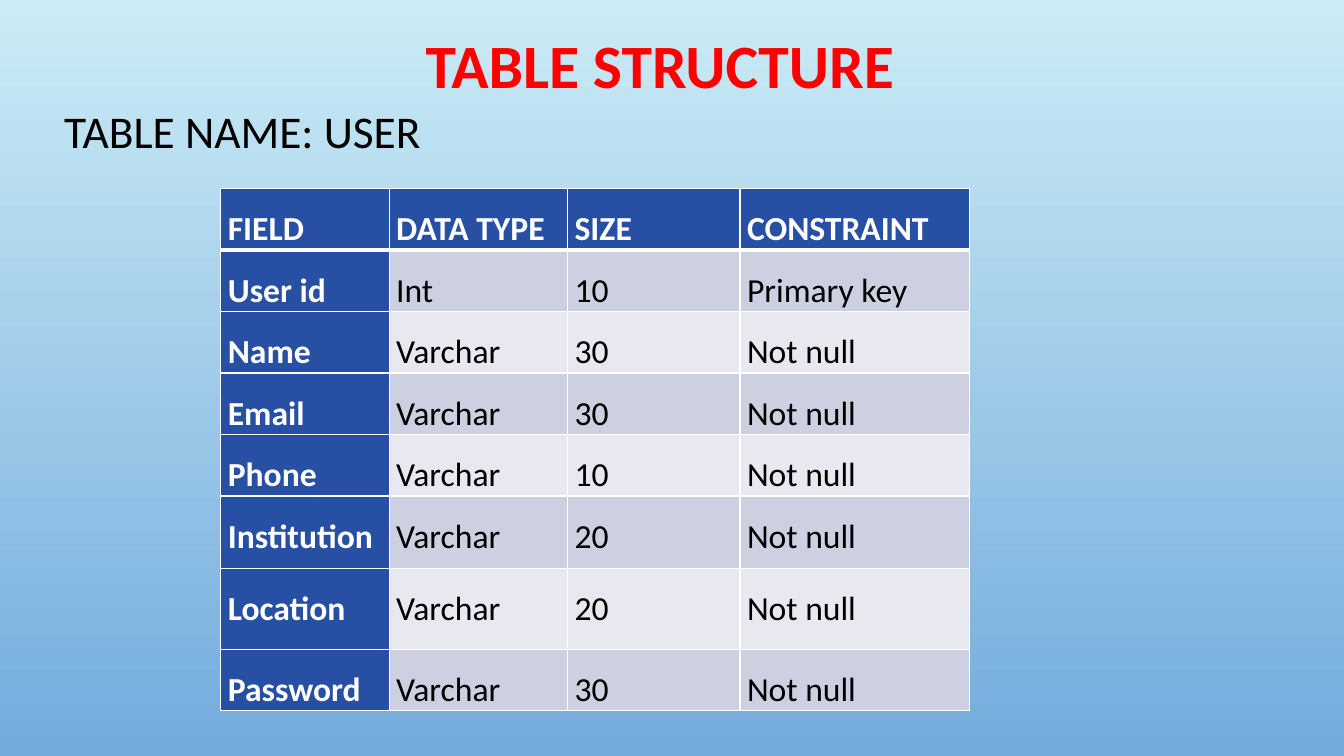
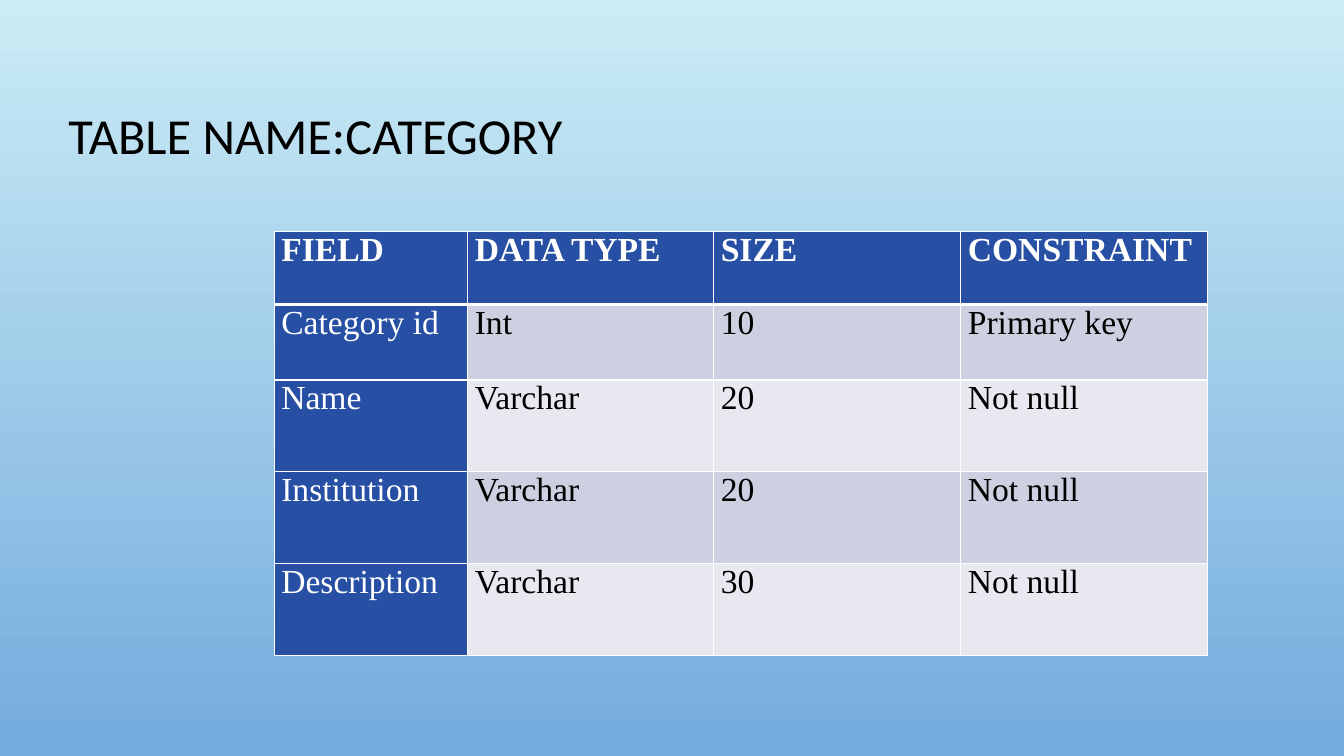
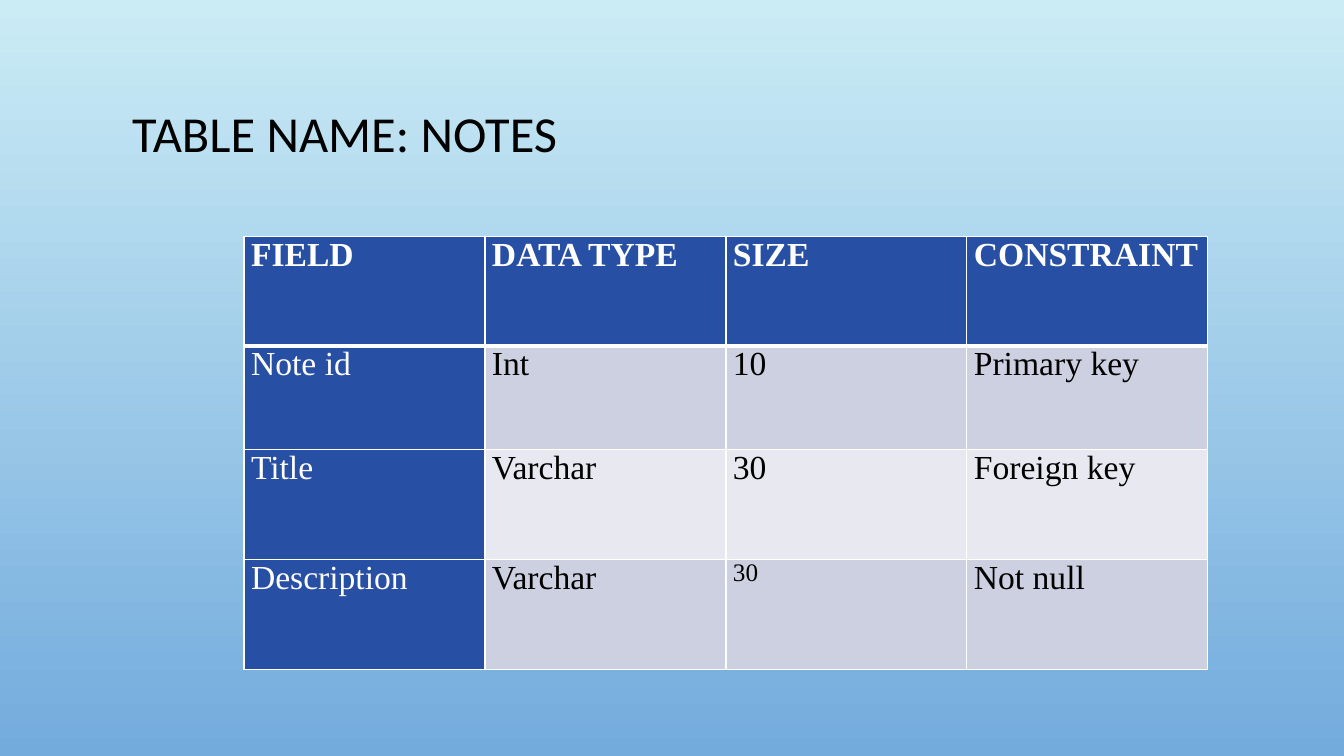
from pptx import Presentation
from pptx.dml.color import RGBColor
from pptx.enum.text import MSO_ANCHOR, MSO_AUTO_SIZE, PP_ALIGN
from pptx.oxml.ns import qn
from pptx.util import Inches, Pt
from lxml import etree

MIDDLE = MSO_ANCHOR.MIDDLE
CENTER, RIGHT = PP_ALIGN.CENTER, PP_ALIGN.RIGHT
NO_FIT = MSO_AUTO_SIZE.NONE

COLORS = {
    "sky": "CBECF5", "sea": "73ABDD", "navy": "274FA4", "dark_band": "CDD0E0",
    "light_band": "E8E9F0", "white": "FFFFFF", "black": "000000", "red": "FF0000",
}
SANS, SERIF = "Calibri", "Times New Roman"
TABLE_SIZE = 24

# Content
HEADINGS = ("FIELD", "DATA TYPE", "SIZE", "CONSTRAINT")
BANNER = {"text": "TABLE STRUCTURE", "at": (3.48, 0.18, 5.49, 0.9), "size": 44}
TABLES = [
    {
        "title": "TABLE NAME: USER", "title_at": (0.3, 1.03, 4.21, 0.6),
        "title_size": 32.4, "banner": BANNER,
        "fields": [
            ("User id", "Int", "10", "Primary key"),
            ("Name", "Varchar", "30", "Not null"),
            ("Email", "Varchar", "30", "Not null"),
            ("Phone", "Varchar", "10", "Not null"),
            ("Institution", "Varchar", "20", "Not null"),
            ("Location", "Varchar", "20", "Not null"),
            ("Password", "Varchar", "30", "Not null"),
        ],
        "corner": (2.19, 1.87), "columns": (1.67, 1.77, 1.71, 2.28),
        "rows": (0.58, 0.61, 0.58, 0.56, 0.58, 0.72, 0.8, 0.58),
        "font": SANS, "bold_fields": True, "line_spacing": 1.5, "space_after": 10,
    },
    {
        "title": "TABLE NAME:CATEGORY", "title_at": (0.33, 0.67, 5.6, 1.4),
        "title_size": 36,
        "fields": [
            ("Category id", "Int", "10", "Primary key"),
            ("Name", "Varchar", "20", "Not null"),
            ("Institution", "Varchar", "20", "Not null"),
            ("Description", "Varchar", "30", "Not null"),
        ],
        "corner": (2.72, 2.3), "columns": (1.92, 2.44, 2.45, 2.45),
        "rows": (0.72, 0.75, 0.91, 0.91, 0.91), "font": SERIF,
    },
    {
        "title": "TABLE NAME: NOTES", "title_at": (0.62, 0.65, 5.6, 1.4),
        "title_size": 36,
        "fields": [
            ("Note id", "Int", "10", "Primary key"),
            ("Title", "Varchar", "30", "Foreign key"),
            ("Description", "Varchar", "30", "Not null"),
        ],
        "corner": (2.42, 2.35), "columns": (2.39,) * 4,
        "rows": (1.08, 1.03, 1.09, 1.09), "font": SERIF,
        "cell_sizes": {(3, 2): 18},
    },
]


def rgb(name):
    return RGBColor.from_string(COLORS[name])


def add_span(para, text, font, size, color, bold=False):
    span = para.add_run()
    span.text = text
    span.font.name, span.font.size, span.font.bold = font, Pt(size), bold
    span.font.color.rgb = rgb(color)


def set_frame(box, align):
    frame = box.text_frame
    frame.word_wrap, frame.auto_size = True, NO_FIT
    frame.vertical_anchor = MIDDLE
    frame.paragraphs[0].alignment = align
    return frame.paragraphs[0]


def add_title(page, text, at, size):
    box = page.shapes.title
    box.left, box.top, box.width, box.height = map(Inches, at)
    para = set_frame(box, CENTER)
    para.line_spacing = 0.9
    add_span(para, text, SANS, size, "black")


def add_banner(page, text, at, size):
    box = page.shapes.add_textbox(*map(Inches, at))
    add_span(set_frame(box, RIGHT), text, SANS, size, "red", True)


def set_borders(cell, row):
    # A thick rule separates the headings from the fields
    widths = {"lnL": 1, "lnR": 1, "lnT": 3 if row == 1 else 1, "lnB": 3 if row == 0 else 1}
    for side, width in widths.items():
        line = etree.SubElement(cell._tc.get_or_add_tcPr(), qn("a:" + side), w=str(Pt(width)))
        fill = etree.SubElement(line, qn("a:solidFill"))
        etree.SubElement(fill, qn("a:srgbClr"), val=COLORS["white"])


def fill_cell(cell, text, row, column, design):
    is_label = row == 0 or column == 0
    cell.margin_left = cell.margin_right = Inches(0.07)
    cell.margin_top = cell.margin_bottom = 0
    set_borders(cell, row)
    cell.fill.solid()
    band = "dark_band" if row % 2 else "light_band"
    cell.fill.fore_color.rgb = rgb("navy" if is_label else band)
    para = cell.text_frame.paragraphs[0]
    para.line_spacing = design.get("line_spacing", 1.0)
    para.space_after = Pt(design.get("space_after", 0))
    size = design.get("cell_sizes", {}).get((row, column), TABLE_SIZE)
    bold = row == 0 or (column == 0 and design.get("bold_fields", False))
    add_span(para, text, design["font"], size, "white" if is_label else "black", bold)


def add_field_table(page, design):
    records = [HEADINGS, *design["fields"]]
    columns, rows = design["columns"], design["rows"]
    at = (*design["corner"], sum(columns), sum(rows))
    table = page.shapes.add_table(len(rows), len(columns), *map(Inches, at)).table
    table.first_col = True
    for column, width in zip(table.columns, columns):
        column.width = Inches(width)
    for row, height in zip(table.rows, rows):
        row.height = Inches(height)
    for r, record in enumerate(records):
        for c, text in enumerate(record):
            fill_cell(table.cell(r, c), text, r, c, design)


def main():
    deck = Presentation()
    deck.slide_width, deck.slide_height = Inches(13.33), Inches(7.5)

    # Shared background
    backdrop = deck.slide_master.background.fill
    backdrop.gradient()
    backdrop.gradient_angle = 270
    for stop, color in zip(backdrop.gradient_stops, ("sky", "sea")):
        stop.color.rgb = rgb(color)

    # One page per table
    title_only = deck.slide_layouts[5]
    for design in TABLES:
        page = deck.slides.add_slide(title_only)
        add_title(page, design["title"], design["title_at"], design["title_size"])
        add_field_table(page, design)
        if "banner" in design:
            add_banner(page, **design["banner"])
    deck.save("out.pptx")


if __name__ == "__main__":
    main()
